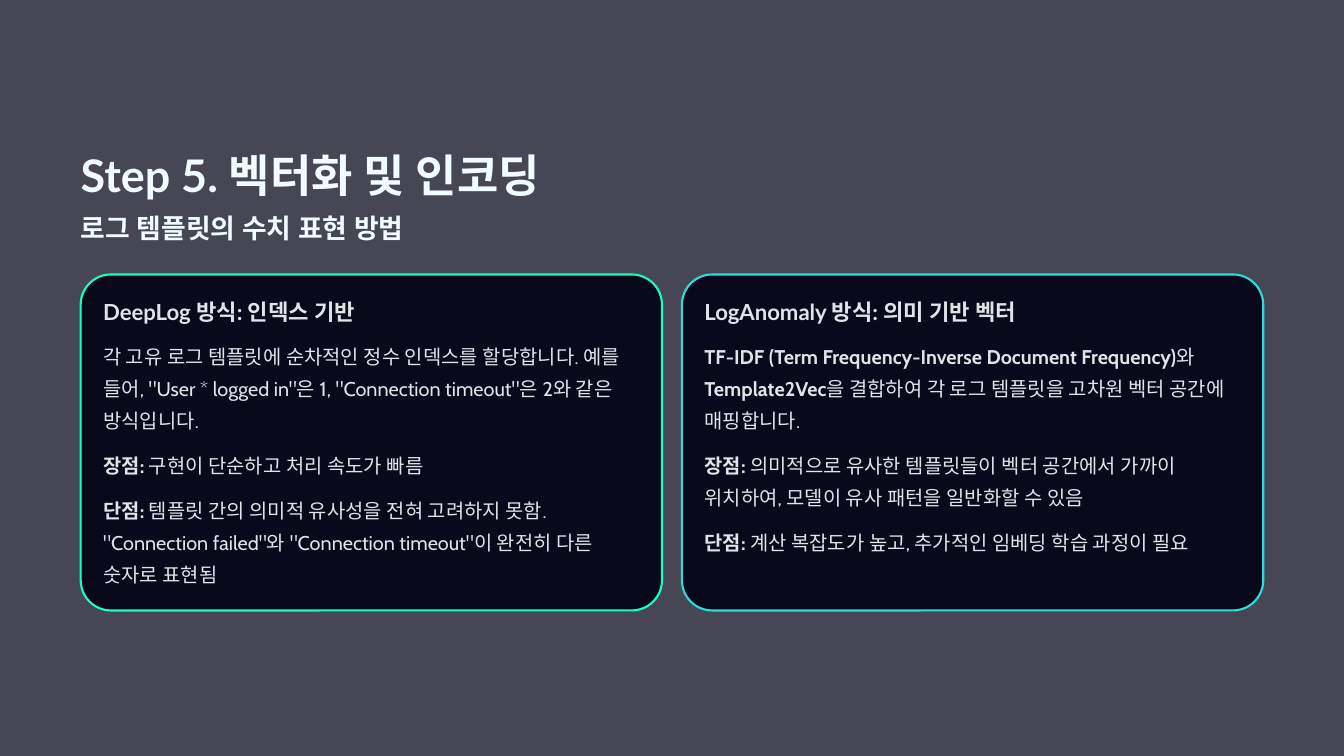
from lxml.etree import SubElement
from pptx import Presentation
from pptx.dml.color import RGBColor
from pptx.enum.shapes import MSO_SHAPE as Shape
from pptx.oxml.ns import qn
from pptx.util import Cm, Pt

BACKDROP = RGBColor(0x47, 0x46, 0x54)
NIGHT = RGBColor(0x0A, 0x08, 0x1B)
ICE = RGBColor(0xF0, 0xFC, 0xFF)
SILVER = RGBColor(0xE0, 0xE4, 0xE6)
GREEN = RGBColor(0x16, 0xFF, 0xBB)
TEAL = RGBColor(0x29, 0xDD, 0xDA)

MARGIN, CARD_PITCH, CARD_TOP = 2.44, 18.18, 8.3
CARD_WIDTH, CARD_HEIGHT = 17.58, 10.16
INSET, BODY_TOP, BODY_WIDTH = 0.68, 10.18, 16.21
LINE_HEIGHT, BODY_GAP = 0.98, 0.36

CARDS = [
    (GREEN, "DeepLog 방식: 인덱스 기반", 8.8, [
        (3, [("각 고유 로그 템플릿에 순차적인 정수 인덱스를 할당합니다. 예를 들어, "
              "\"User * logged in\"은 1, \"Connection timeout\"은 2와 같은 방식입니다.", False)]),
        (1, [("장점:", True), (" 구현이 단순하고 처리 속도가 빠름", False)]),
        (3, [("단점:", True),
             (" 템플릿 간의 의미적 유사성을 전혀 고려하지 못함. \"Connection failed\"와 "
              "\"Connection timeout\"이 완전히 다른 숫자로 표현됨", False)]),
    ]),
    (TEAL, "LogAnomaly 방식: 의미 기반 벡터", 10.6, [
        (3, [("TF-IDF (Term Frequency-Inverse Document Frequency)", True), ("와 ", False),
             ("Template2Vec", True),
             ("을 결합하여 각 로그 템플릿을 고차원 벡터 공간에 매핑합니다.", False)]),
        (2, [("장점:", True),
             (" 의미적으로 유사한 템플릿들이 벡터 공간에서 가까이 위치하여, "
              "모델이 유사 패턴을 일반화할 수 있음", False)]),
        (1, [("단점:", True), (" 계산 복잡도가 높고, 추가적인 임베딩 학습 과정이 필요", False)]),
    ]),
]


def add_text(page, place, spans, font, size, color, spacing):
    """Add a one-paragraph text box from (text, bold) spans."""
    box = page.shapes.add_textbox(*map(Cm, place))
    frame = box.text_frame
    frame.margin_left = frame.margin_top = frame.margin_right = frame.margin_bottom = 0
    frame.word_wrap = True
    para = frame.paragraphs[0]
    para.line_spacing = Pt(spacing)
    para.font.name, para.font.size = font, Pt(size)
    para.font.color.rgb = color
    defaults = para._p.find(".//" + qn("a:defRPr"))
    SubElement(defaults, qn("a:ea"), typeface=font)
    para.font.bold = all(bold for _, bold in spans)
    for text, bold in spans:
        span = para.add_run()
        span.text = text
        if bold != para.font.bold:
            span.font.bold = bold


def add_heading(page, place, text, size, color, spacing):
    """Add a bold heading on one line."""
    add_text(page, place, [(text, True)], "Lato", size, color, spacing)


def add_card(page, left, accent, heading, heading_width, body):
    """Add a rounded card with its heading and stacked paragraphs."""
    card = page.shapes.add_shape(
        Shape.ROUNDED_RECTANGLE, *map(Cm, (left, CARD_TOP, CARD_WIDTH, CARD_HEIGHT)))
    card.adjustments[0] = 0.09
    card.shadow.inherit = False
    card.fill.solid()
    card.fill.fore_color.rgb = NIGHT
    card.line.color.rgb = accent
    card.line.width = Pt(1.8)

    text_left = left + INSET
    add_heading(page, (text_left, 8.97, heading_width, 0.84), heading, 19, SILVER, 24)
    top = BODY_TOP
    for lines, spans in body:
        height = lines * LINE_HEIGHT
        add_text(page, (text_left, top, BODY_WIDTH, height), spans, "Cabin", 17, SILVER, 27.5)
        top += height + BODY_GAP


def main():
    """Build and save the slide."""
    deck = Presentation()
    deck.slide_width, deck.slide_height = Cm(40.64), Cm(22.86)
    page = deck.slides.add_slide(deck.slide_layouts[6])
    page.background.fill.solid()
    page.background.fill.fore_color.rgb = BACKDROP

    add_heading(page, (MARGIN, 4.41, 15.2, 1.7), "Step 5. 벡터화 및 인코딩", 38.5, ICE, 48)
    add_heading(page, (MARGIN, 6.36, 10.5, 1.02), "로그 템플릿의 수치 표현 방법", 23, ICE, 28.5)
    for column, card in enumerate(CARDS):
        add_card(page, MARGIN + column * CARD_PITCH, *card)
    deck.save("out.pptx")


if __name__ == "__main__":
    main()
